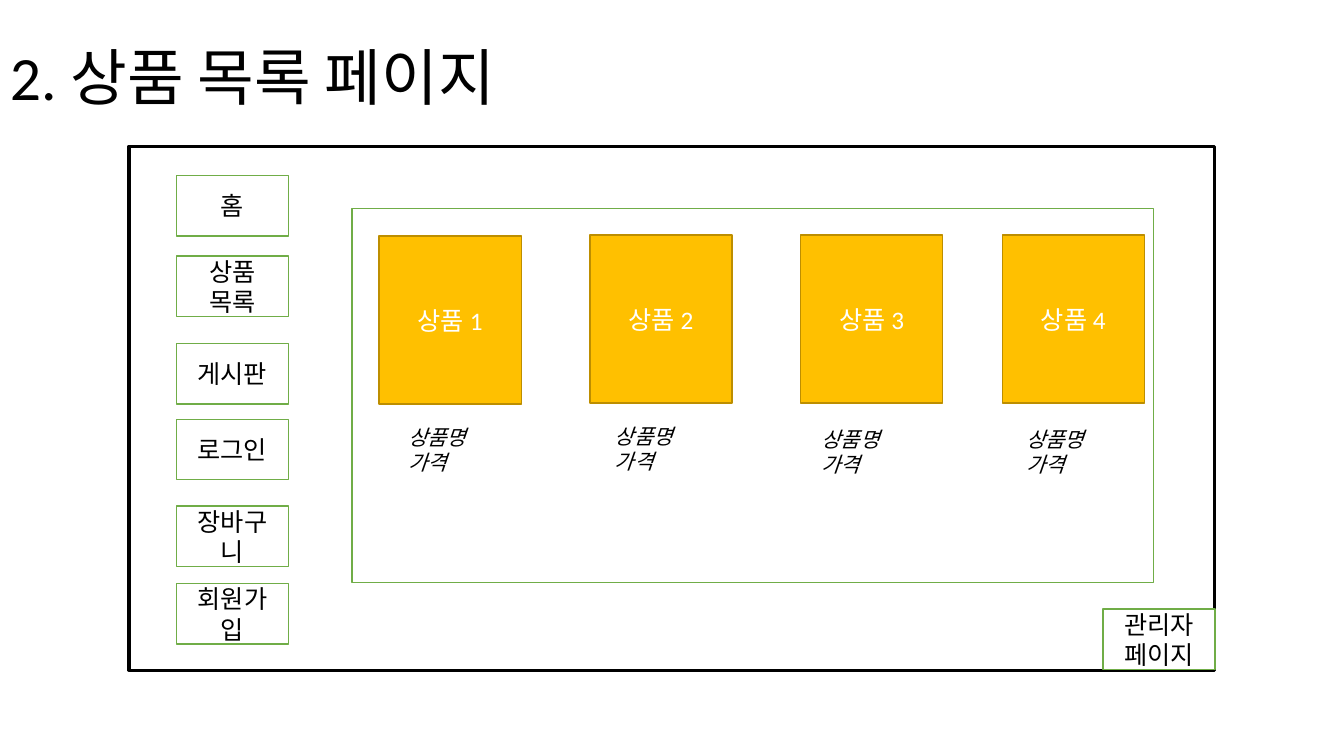
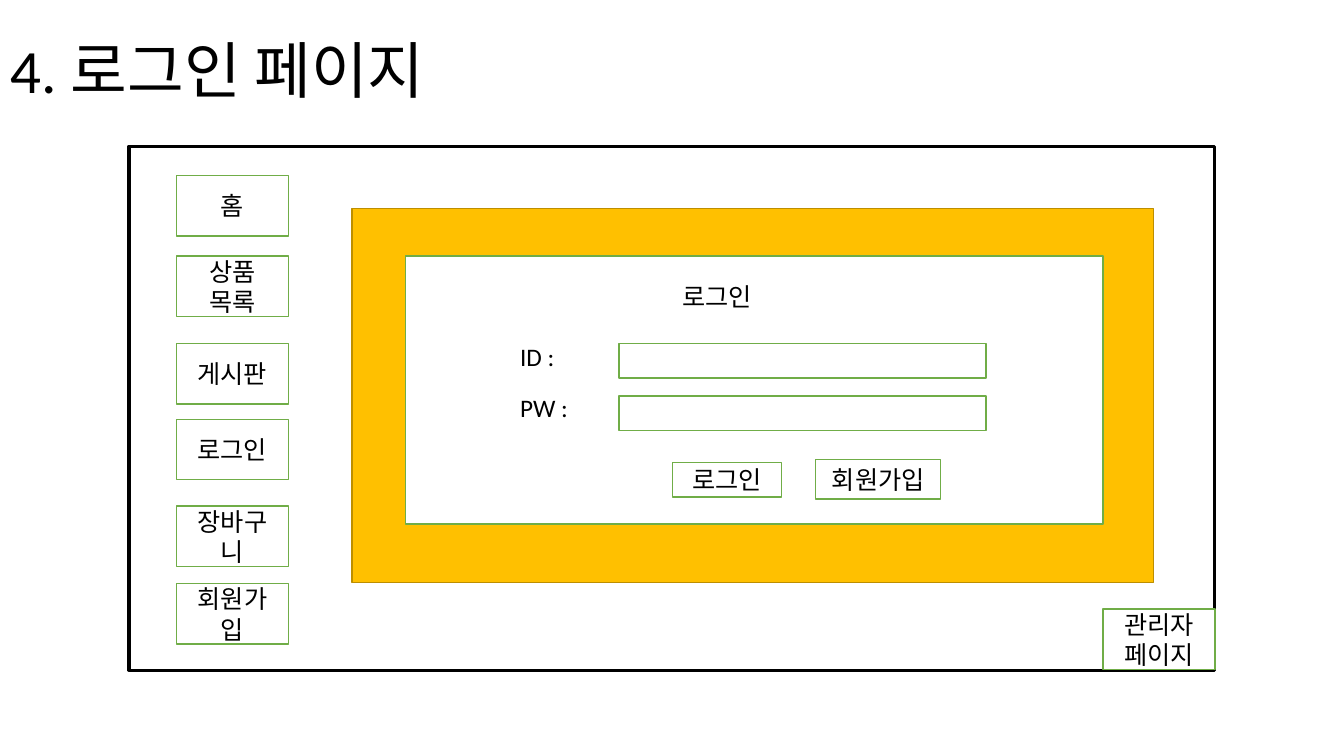
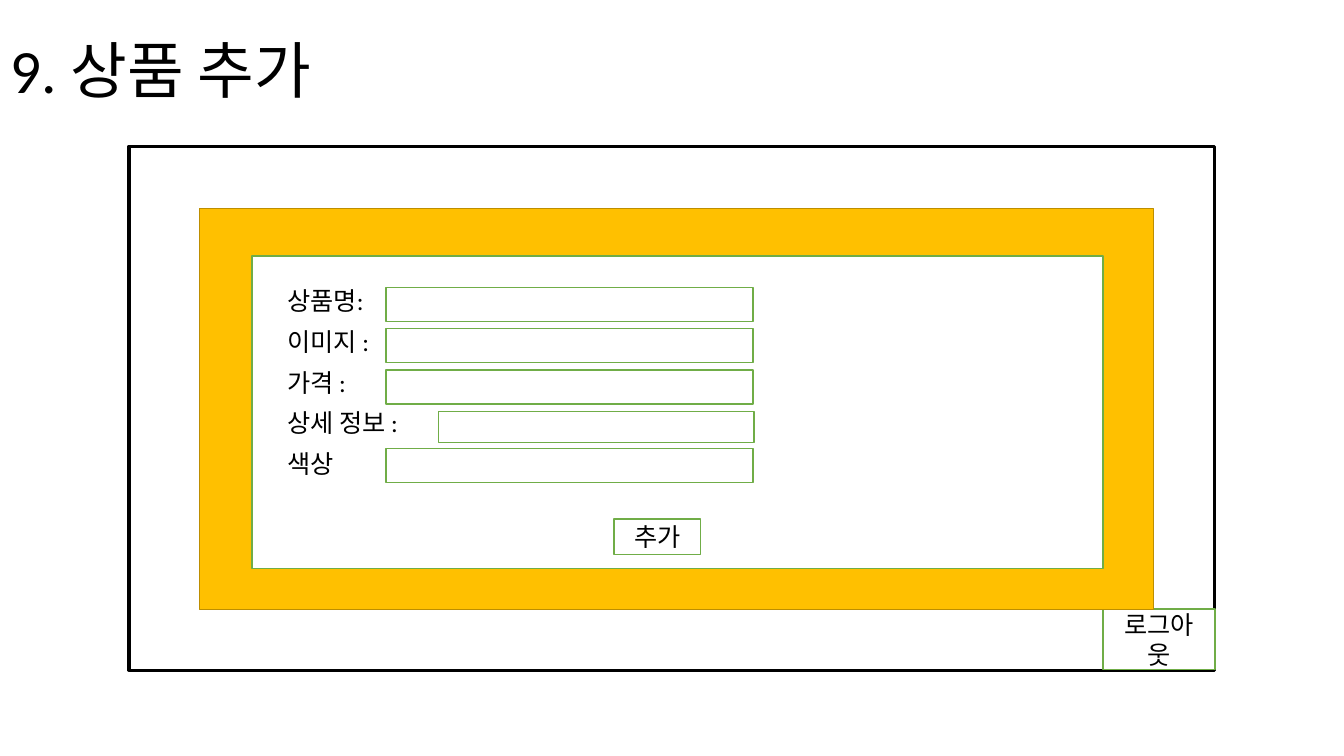
from pptx import Presentation
from pptx.dml.color import RGBColor
from pptx.enum.shapes import MSO_SHAPE
from pptx.enum.text import MSO_ANCHOR, MSO_AUTO_SIZE, PP_ALIGN
from pptx.util import Inches, Pt

BLACK = RGBColor(0x00, 0x00, 0x00)
WHITE = RGBColor(0xFF, 0xFF, 0xFF)
GREEN = RGBColor(0x70, 0xAD, 0x47)
AMBER = RGBColor(0xFF, 0xC0, 0x00)
DARK_AMBER = RGBColor(0xBD, 0x8E, 0x00)

FONT = "Calibri"
BODY_SIZE = 18
BUTTON_WIDTH, BUTTON_HEIGHT = 1.11, 0.6
FIELD_WIDTH, FIELD_HEIGHT = 3.64, 0.34

MENU = [
    ("홈", 1.74),
    ("상품 목록", 2.54),
    ("게시판", 3.41),
    ("로그인", 4.16),
    ("장바구니", 5.02),
    ("회원가입", 5.79),
]


def format_text(text_frame, size=BODY_SIZE, color=BLACK, italic=False, alignment=PP_ALIGN.LEFT):
    for paragraph in text_frame.paragraphs:
        paragraph.alignment = alignment
        for run in paragraph.runs:
            run.font.name = FONT
            run.font.size = Pt(size)
            run.font.italic = italic
            run.font.color.rgb = color


def add_box(slide, left, top, width, height, text="", fill=WHITE, line=GREEN,
            line_width=1, color=BLACK):
    shape = slide.shapes.add_shape(
        MSO_SHAPE.RECTANGLE, Inches(left), Inches(top), Inches(width), Inches(height))
    shape.shadow.inherit = False
    if fill is None:
        shape.fill.background()
    else:
        shape.fill.solid()
        shape.fill.fore_color.rgb = fill
    shape.line.color.rgb = line
    shape.line.width = Pt(line_width)
    if text:
        text_frame = shape.text_frame
        text_frame.word_wrap = True
        text_frame.vertical_anchor = MSO_ANCHOR.MIDDLE
        text_frame.text = text
        format_text(text_frame, color=color, alignment=PP_ALIGN.CENTER)
    return shape


def add_amber_box(slide, left, top, width, height, text=""):
    return add_box(slide, left, top, width, height, text, AMBER, DARK_AMBER, color=WHITE)


def add_button(slide, left, top, text):
    return add_box(slide, left, top, BUTTON_WIDTH, BUTTON_HEIGHT, text)


def add_field(slide, left, top, width=FIELD_WIDTH, height=FIELD_HEIGHT):
    return add_box(slide, left, top, width, height)


def add_label(slide, left, top, text, width=2.41, height=0.4, size=BODY_SIZE, italic=False):
    label = slide.shapes.add_textbox(Inches(left), Inches(top), Inches(width), Inches(height))
    text_frame = label.text_frame
    text_frame.word_wrap = True
    text_frame.auto_size = MSO_AUTO_SIZE.SHAPE_TO_FIT_TEXT
    text_frame.text = text
    format_text(text_frame, size, italic=italic)
    return label


def add_title(slide, text, top):
    title = slide.shapes.add_textbox(Inches(0), Inches(top), Inches(11.5), Inches(1.45))
    text_frame = title.text_frame
    text_frame.word_wrap = True
    text_frame.vertical_anchor = MSO_ANCHOR.MIDDLE
    text_frame.text = text
    text_frame.paragraphs[0].line_spacing = 0.9
    format_text(text_frame, size=44)


def add_page(presentation, title, corner_text, menu=(), title_top=0):
    slide = presentation.slides.add_slide(presentation.slide_layouts[6])
    add_title(slide, title, title_top)
    add_box(slide, 1.28, 1.45, 10.77, 5.2, fill=None, line=BLACK, line_width=2.25)
    for text, top in menu:
        add_button(slide, 1.75, top, text)
    add_button(slide, 10.94, 6.04, corner_text)
    return slide


def add_product_list(presentation):
    slide = add_page(presentation, "2. 상품 목록 페이지", "관리자페이지", MENU, 0.07)
    add_box(slide, 3.49, 2.07, 7.95, 3.71)
    products = [
        (3.76, 2.34, 3.95, 4.16),
        (5.85, 2.33, 6.0, 4.15),
        (7.94, 2.33, 8.05, 4.18),
        (9.94, 2.33, 10.08, 4.18),
    ]
    for number, (left, top, caption_left, caption_top) in enumerate(products, 1):
        add_amber_box(slide, left, top, 1.41, 1.67, f"상품 {number}")
        add_label(slide, caption_left, caption_top, "상품명\n가격",
                  width=1.11, height=0.61, size=15, italic=True)


def add_login(presentation):
    slide = add_page(presentation, "4. 로그인 페이지", "관리자페이지", MENU)
    add_amber_box(slide, 3.49, 2.07, 7.95, 3.71)
    add_box(slide, 4.02, 2.54, 6.92, 2.66)
    add_label(slide, 6.67, 2.74, "로그인")
    for text, label_top, field_top in [("ID :", 3.34, 3.41), ("PW :", 3.84, 3.93)]:
        add_label(slide, 5.06, label_top, text)
        add_field(slide, 6.14, field_top)
    add_box(slide, 6.67, 4.59, 1.08, 0.34, "로그인")
    add_box(slide, 8.09, 4.56, 1.24, 0.39, "회원가입")


def add_product_form(presentation):
    slide = add_page(presentation, "9. 상품 추가", "로그아웃")
    add_amber_box(slide, 1.98, 2.07, 9.46, 3.98)
    add_box(slide, 2.5, 2.54, 8.44, 3.1)
    rows = [
        ("상품명:", (3.83, 2.85)),
        ("이미지 :", (3.83, 3.26)),
        ("가격 :", (3.83, 3.67)),
        ("상세 정보 :", (4.35, 4.08, 3.13, 0.31)),
        ("색상", (3.83, 4.45)),
    ]
    for index, (text, field) in enumerate(rows):
        add_label(slide, 2.75, 2.78 + index * 0.405, text)
        add_field(slide, *field)
    add_box(slide, 6.09, 5.15, 0.86, 0.35, "추가")


def main():
    presentation = Presentation()
    presentation.slide_width = Inches(13.33)
    presentation.slide_height = Inches(7.5)
    add_product_list(presentation)
    add_login(presentation)
    add_product_form(presentation)
    presentation.save("out.pptx")


if __name__ == "__main__":
    main()
